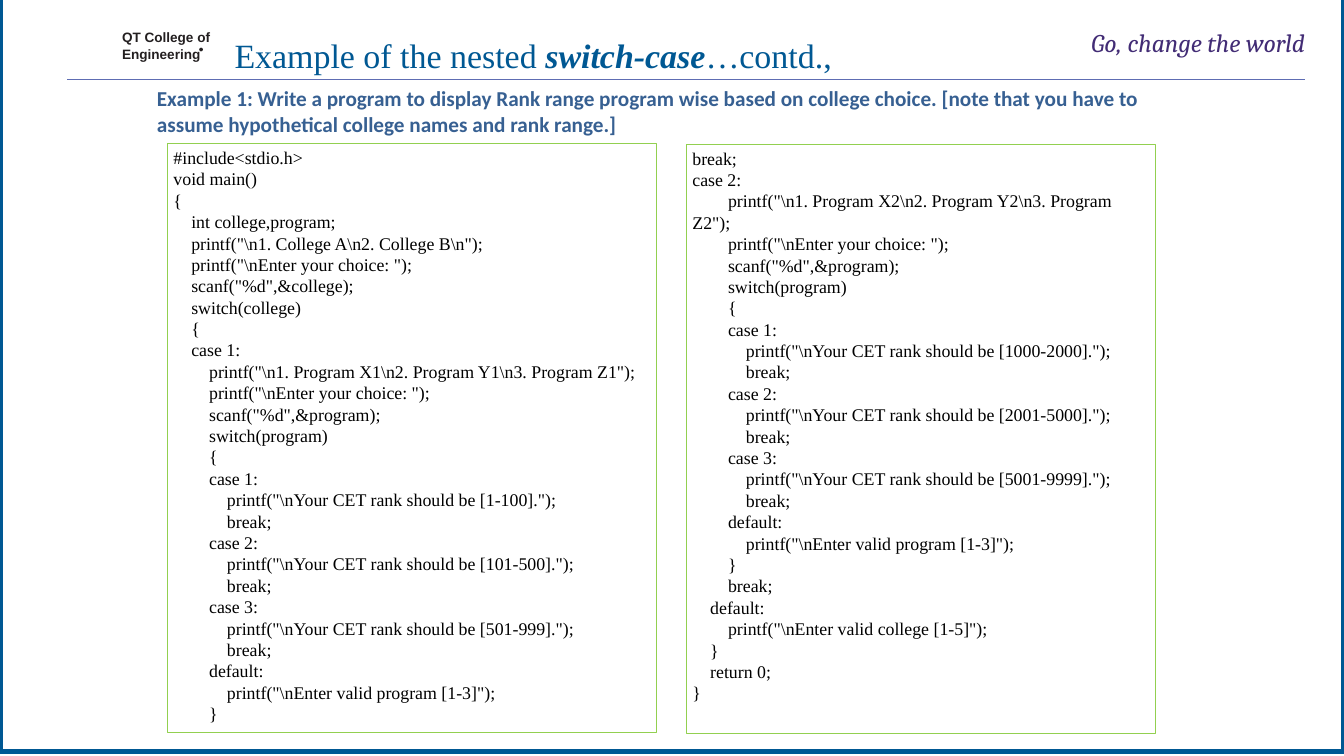
from pptx import Presentation
from pptx.dml.color import RGBColor
from pptx.enum.shapes import MSO_CONNECTOR as Connector, MSO_SHAPE as Shape
from pptx.enum.text import MSO_ANCHOR as Anchor, PP_ALIGN as Align
from pptx.oxml.ns import qn
from pptx.util import Pt
from lxml.etree import SubElement

WIDTH, HEIGHT = 1583.28, 890.64
COLORS = {
    "white": "FFFFFF", "blue": "005893", "rule": "5E6DB3", "ink": "231F20",
    "purple": "422C75", "green": "92D050", "task": "376092", "black": "000000",
}
SERIF = "Times New Roman"
INDENT = 21  # points for each level of code
LINE_PITCH = 25.2

TASK = (
    "Example 1: Write a program to display Rank range program wise based on college choice. "
    "[note that you have to assume hypothetical college names and rank range.]"
)

LEFT_CODE = r'''#include<stdio.h>
void main()
{
    int college,program;
    printf("\n1. College A\n2. College B\n");
    printf("\nEnter your choice: ");
    scanf("%d",&college);
    switch(college)
    {
    case 1:
        printf("\n1. Program X1\n2. Program Y1\n3. Program Z1");
        printf("\nEnter your choice: ");
        scanf("%d",&program);
        switch(program)
        {
        case 1:
            printf("\nYour CET rank should be [1-100].");
            break;
        case 2:
            printf("\nYour CET rank should be [101-500].");
            break;
        case 3:
            printf("\nYour CET rank should be [501-999].");
            break;
        default:
            printf("\nEnter valid program [1-3]");
        }'''

RIGHT_CODE = r'''break;
case 2:
        printf("\n1. Program X2\n2. Program Y2\n3. Program Z2");
        printf("\nEnter your choice: ");
        scanf("%d",&program);
        switch(program)
        {
        case 1:
            printf("\nYour CET rank should be [1000-2000].");
            break;
        case 2:
            printf("\nYour CET rank should be [2001-5000].");
            break;
        case 3:
            printf("\nYour CET rank should be [5001-9999].");
            break;
        default:
            printf("\nEnter valid program [1-3]");
        }
        break;
    default:
        printf("\nEnter valid college [1-5]");
    }
    return 0;
}'''


def color(name):
    return RGBColor.from_string(COLORS[name])


def add_box(slide, kind, box, fill=None, line=None, weight=0.75):
    shape = slide.shapes.add_shape(kind, *map(Pt, box))
    shape.shadow.inherit = False
    if fill:
        shape.fill.solid()
        shape.fill.fore_color.rgb = color(fill)
    else:
        shape.fill.background()
    if line:
        shape.line.color.rgb = color(line)
        shape.line.width = Pt(weight)
    else:
        shape.line.fill.background()
    return shape


def add_run(paragraph, text, size, font, ink, bold=False, italic=False):
    run = paragraph.add_run()
    run.text = text
    run.font.size, run.font.name = Pt(size), font
    run.font.bold, run.font.italic = bold, italic
    run.font.color.rgb = color(ink)


def write_text(shape, lines, align=Align.LEFT, insets=(7.2, 3.6, 7.2, 3.6),
               spacing=None, before=0, **style):
    """Each line is a list of (text, style changes); leading spaces become an indent."""
    frame = shape.text_frame
    frame.word_wrap = True
    frame.vertical_anchor = Anchor.TOP
    (frame.margin_left, frame.margin_top,
     frame.margin_right, frame.margin_bottom) = map(Pt, insets)
    for index, runs in enumerate(lines):
        paragraph = frame.add_paragraph() if index else frame.paragraphs[0]
        paragraph.alignment = align
        paragraph.space_before = Pt(before)
        if spacing:
            paragraph.line_spacing = Pt(spacing)
        first = runs[0][0]
        level = (len(first) - len(first.lstrip())) // 4
        if level:
            paragraph._p.get_or_add_pPr().set("indent", str(Pt(level * INDENT)))
        for position, (text, changes) in enumerate(runs):
            add_run(paragraph, text if position else text.lstrip(), **{**style, **changes})


def add_text(slide, box, lines, **options):
    write_text(slide.shapes.add_textbox(*map(Pt, box)), lines, **options)


def add_header(slide, box):
    left, top, width, height = box
    # Rule under the header
    rule = slide.shapes.add_connector(
        Connector.STRAIGHT, Pt(left), Pt(top + height), Pt(left + width), Pt(top + height))
    rule.line.color.rgb = color("rule")
    rule.line.width = Pt(1.25)
    SubElement(rule._element.spPr, qn("a:effectLst"))

    # College name with its small mark
    add_box(slide, Shape.OVAL, (left + 155.5, top + 23.8, 4.3, 4.3), fill="ink")
    add_text(slide, (left + 64, top + 2.2, 108, 38.9),
             [[("QT College of", {})], [("Engineering", {})]],
             insets=(0.7, 1.4, 0, 0), spacing=17.9, before=1.4,
             size=16, font="Arial", ink="ink", bold=True)

    # Slogan, aligned with the right end of the rule
    add_text(slide, (left + width - 290, top, 289.4, 36.7),
             [[("Go, change the world", {})]], align=Align.RIGHT, insets=(0, 0, 0, 0),
             size=30, font="Cambria", ink="purple", italic=True)

    # Title
    add_text(slide, (left + 190, top + 5, 794, 55.4),
             [[("Example of the nested ", {}),
               ("switch-case", {"bold": True, "italic": True}),
               ("…contd.,", {})]],
             size=40, font=SERIF, ink="blue")


def add_code(slide, box, code):
    panel = add_box(slide, Shape.RECTANGLE, box, line="green")
    write_text(panel, [[(line, {})] for line in code.splitlines()],
               spacing=LINE_PITCH, size=21, font=SERIF, ink="black")


def main():
    presentation = Presentation()
    presentation.slide_width, presentation.slide_height = Pt(WIDTH), Pt(HEIGHT)
    slide = presentation.slides.add_slide(presentation.slide_layouts[6])

    # Frame round the slide
    add_box(slide, Shape.RECTANGLE, (0, -5.76, WIDTH, HEIGHT), "white", "blue", 6)
    add_header(slide, (79.2, 32.4, 1458.7, 61.2))

    # Task and the two halves of the program
    add_text(slide, (177.8, 97.2, 1191.6, 67.7), [[(TASK, {})]],
             size=25, font="Calibri", ink="task", bold=True)
    add_code(slide, (197.3, 169.2, 576, 694), LEFT_CODE)
    add_code(slide, (808.6, 169.9, 552.2, 694), RIGHT_CODE)

    presentation.save("out.pptx")


if __name__ == "__main__":
    main()
